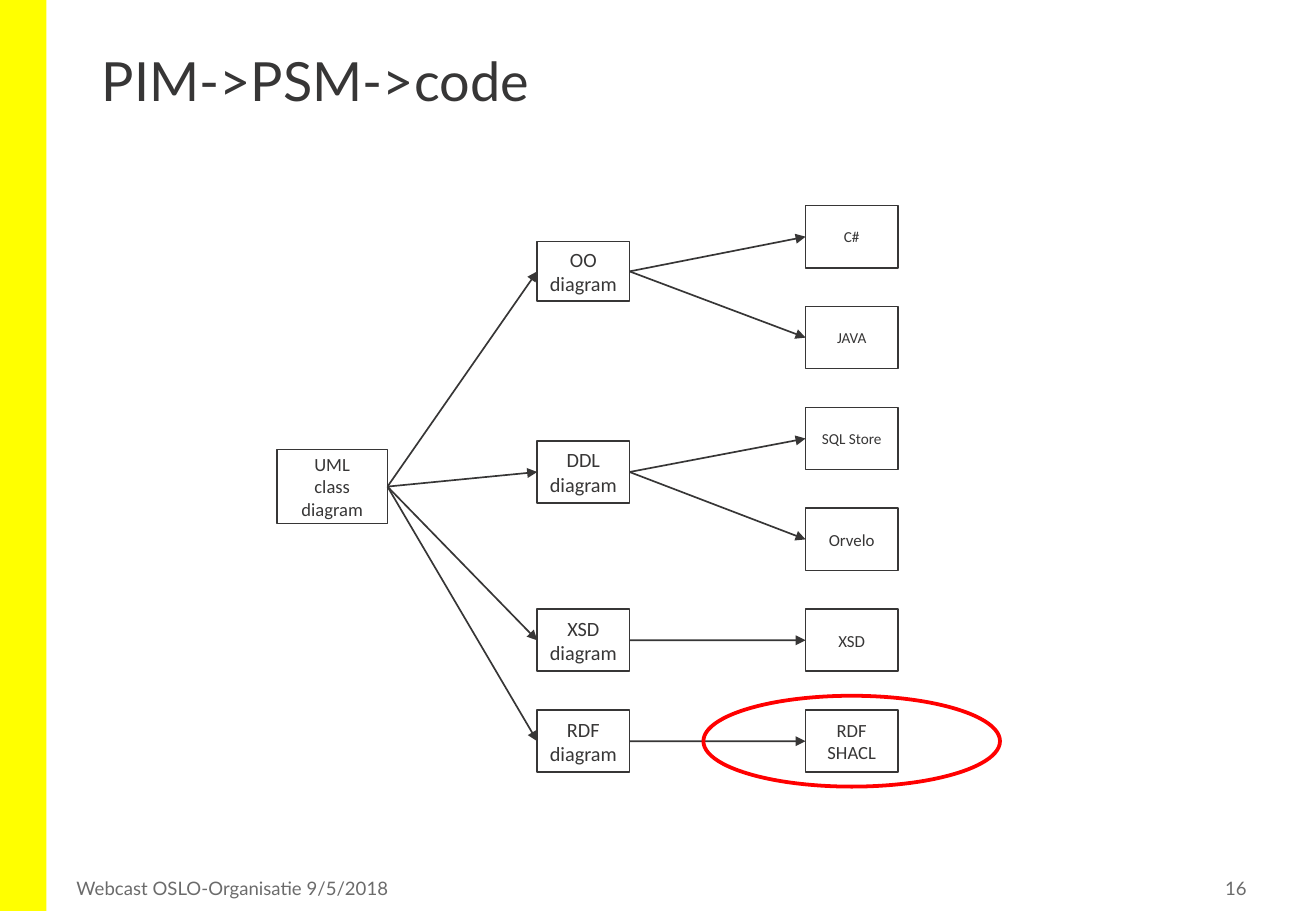
from lxml.etree import SubElement
from pptx import Presentation
from pptx.dml.color import RGBColor
from pptx.enum.shapes import MSO_CONNECTOR as LINE, MSO_SHAPE as SHAPE
from pptx.enum.text import MSO_ANCHOR as ANCHOR, PP_ALIGN as ALIGN
from pptx.oxml.ns import qn
from pptx.util import Cm, Pt

COLORS = {"ink": "373636", "grey": "6B6B6B", "band": "FFFF00", "accent": "FF0000"}

TITLE = "PIM->PSM->code"
FOOTER = "Webcast OSLO-Organisatie 9/5/2018"
PAGE = "16"
ROOT = ["UML", "class diagram"]
# lines, top, height, and the code targets as (lines, font size)
MODELS = [
    (["OO", "diagram"], 5.05, 1.25, [(["C#"], 9), (["JAVA"], 9)]),
    (["DDL", "diagram"], 9.22, 1.3, [(["SQL Store"], 9), (["Orvelo"], 10)]),
    (["XSD", "diagram"], 12.74, 1.3, [(["XSD"], 10)]),
    (["RDF", "diagram"], 14.85, 1.3, [(["RDF", "SHACL"], 11)]),
]

ROOT_BOX = (5.79, 9.4, 2.31, 1.55)
MODEL_X, CODE_X = 11.23, 16.84
BOX_W, BOX_H = 1.93, 1.3
CODE_TOP, CODE_STEP = 4.3, 2.11
RING_W, RING_H = 6.2, 1.9


def rgb(name):
    return RGBColor.from_string(COLORS[name])


def write(sp, lines, size, font, color, align, anchor=ANCHOR.MIDDLE):
    tf = sp.text_frame
    tf.word_wrap = True
    tf.vertical_anchor = anchor
    tf.text = "\n".join(lines)
    for p in tf.paragraphs:
        p.alignment = align
        p.font.size = Pt(size)
        p.font.name = font
        p.font.color.rgb = rgb(color)
    return tf


def add_label(s, box, text, size, color, align=ALIGN.LEFT, anchor=ANCHOR.MIDDLE):
    sp = s.shapes.add_textbox(*map(Cm, box))
    return write(sp, [text], size, "Lato", color, align, anchor)


def add_outline(s, kind, box, color, width):
    sp = s.shapes.add_shape(kind, *map(Cm, box))
    sp.shadow.inherit = False
    sp.fill.background()
    sp.line.color.rgb = rgb(color)
    sp.line.width = Pt(width)
    return sp


def add_box(s, box, lines, size):
    sp = add_outline(s, SHAPE.RECTANGLE, box, "ink", 1)
    write(sp, lines, size, "Calibri", "ink", ALIGN.CENTER)
    return sp


def add_arrow(s, source, target):
    """Join the right side of source to the left side of target."""
    c = s.shapes.add_connector(LINE.STRAIGHT, 0, 0, 0, 0)
    c.begin_connect(source, 3)
    c.end_connect(target, 1)
    c.line.color.rgb = rgb("ink")
    c.line.width = Pt(1)
    SubElement(c.line._get_or_add_ln(), qn("a:tailEnd"), type="triangle")
    SubElement(c._element.spPr, qn("a:effectLst"))


def main():
    prs = Presentation()
    prs.slide_width, prs.slide_height = Cm(27.51), Cm(19.05)
    s = prs.slides.add_slide(prs.slide_layouts[6])

    band = s.shapes.add_shape(SHAPE.RECTANGLE, 0, 0, Cm(0.97), prs.slide_height)
    band.shadow.inherit = False
    band.fill.solid()
    band.fill.fore_color.rgb = rgb("band")
    band.line.fill.background()

    title = add_label(s, (1.88, 1.02, 23.72, 2.74), TITLE, 32, "ink", anchor=ANCHOR.TOP)
    title.paragraphs[0].line_spacing = 0.9
    add_label(s, (1.35, 18.34, 16.89, 0.48), FOOTER, 11, "grey")
    page = add_label(s, (24.13, 18.21, 2.06, 0.74), PAGE, 11, "grey", ALIGN.RIGHT)
    page.margin_left = page.margin_right = Cm(0.13)
    page.margin_top = page.margin_bottom = Cm(0.13)

    root = add_box(s, ROOT_BOX, ROOT, 11)
    y = CODE_TOP
    for lines, top, height, targets in MODELS:
        model = add_box(s, (MODEL_X, top, BOX_W, height), lines, 12)
        add_arrow(s, root, model)
        for code_lines, size in targets:
            code = add_box(s, (CODE_X, y, BOX_W, BOX_H), code_lines, size)
            add_arrow(s, model, code)
            y += CODE_STEP

    ring_x = CODE_X + (BOX_W - RING_W) / 2
    ring_y = y - CODE_STEP + (BOX_H - RING_H) / 2
    add_outline(s, SHAPE.OVAL, (ring_x, ring_y, RING_W, RING_H), "accent", 2.25)

    prs.save("out.pptx")


if __name__ == "__main__":
    main()
